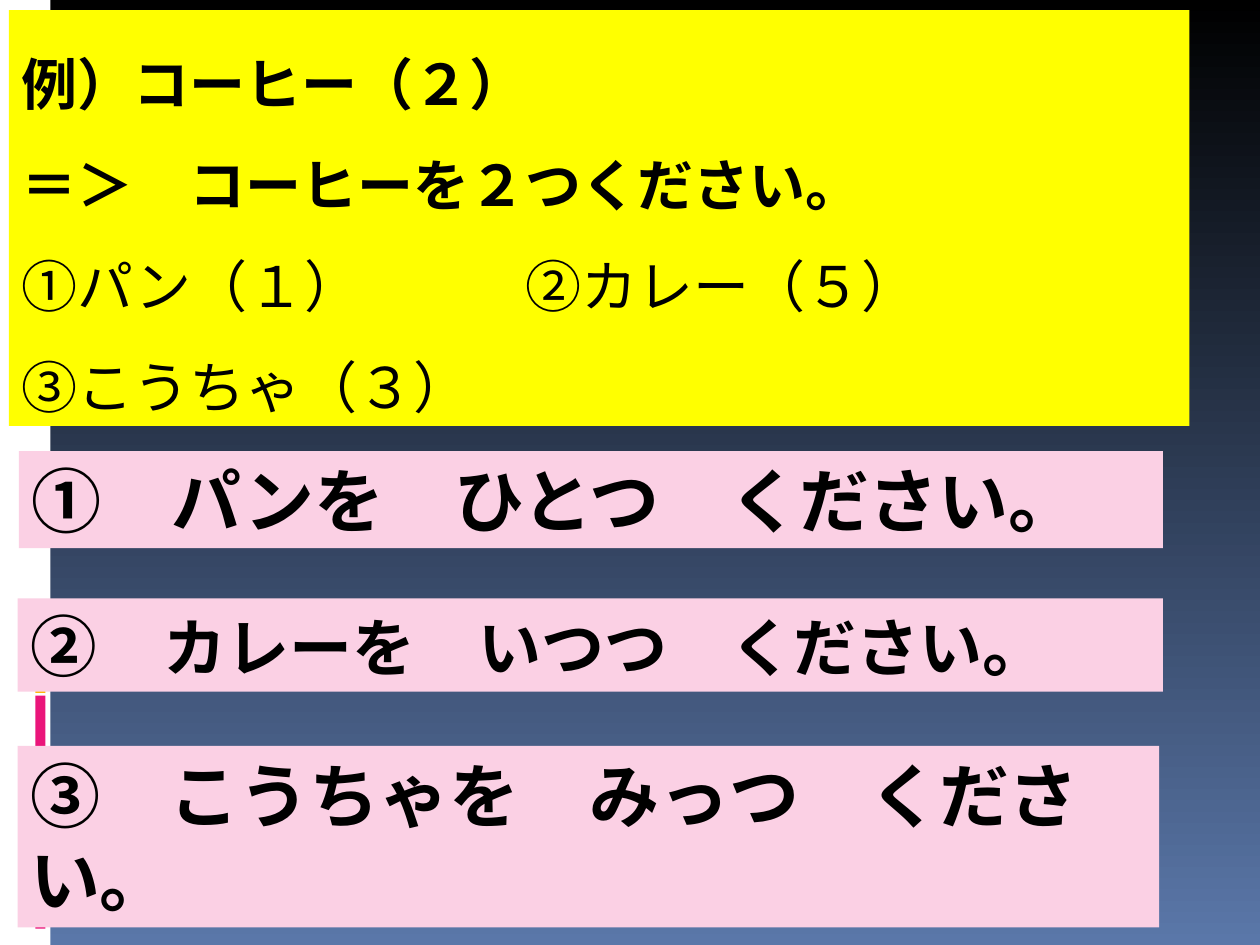
from lxml import etree
from pptx import Presentation
from pptx.dml.color import RGBColor
from pptx.enum import shapes, text
from pptx.oxml.ns import qn
from pptx.util import Inches, Pt

COLORS = {
    "night": "000000", "dusk": "5A77A9", "white": "FFFFFF", "magenta": "EA157A",
    "amber": "FEB80A", "pink": "FBD0E4", "yellow": "FFFF00", "ink": "000000",
}
JAPANESE, LATIN = "Noto Sans CJK JP", "Roboto"

STRIPES = [
    ((0, 0, 0.4, 7.5), "white"),
    ((0.28, 5.52, 0.08, 1.85), "magenta"),
    ((0.28, 5.25, 0.08, 0.25), "amber"),
]
ANSWERS = [
    ((0.15, 3.58, 9.08, 0.77), [("①　パンを　ひとつ　ください。", 40)]),
    ((0.14, 4.75, 9.09, 0.74), [("②　", 38), ("カレーを　いつつ　ください", 36), ("。", 38)]),
    ((0.14, 5.92, 9.06, 1.44), [("③　こうちゃを　みっつ　ください。", 40)]),
]
EXERCISE_BOX = (0.07, 0.08, 9.37, 3.3)
EXERCISE = [
    ("例）コーヒー（２）", True),
    ("＝＞　コーヒーを２つください。", True),
    ("①パン（１）\t②カレー（５）", False),
    ("③こうちゃ（３）", False),
]
EXERCISE_SIZE = 32
SECOND_ITEM_TAB = 4


def rgb(name):
    return RGBColor.from_string(COLORS[name])


def add_panel(slide, box, color):
    panel = slide.shapes.add_shape(
        shapes.MSO_SHAPE.RECTANGLE, *(Inches(side) for side in box))
    panel.shadow.inherit = False
    panel.fill.solid()
    panel.fill.fore_color.rgb = rgb(color)
    panel.line.fill.background()
    frame = panel.text_frame
    frame.word_wrap = True
    frame.vertical_anchor = text.MSO_ANCHOR.TOP
    return frame


def add_words(paragraph, words, size, bold=True):
    paragraph.alignment = text.PP_ALIGN.LEFT
    run = paragraph.add_run()
    run.text = words
    font = run.font
    font.size = Pt(size)
    font.bold = bold
    font.color.rgb = rgb("ink")
    font.name = JAPANESE if bold else LATIN
    east_asian = etree.SubElement(run._r.get_or_add_rPr(), qn("a:ea"))
    east_asian.set("typeface", JAPANESE)


def add_tab(paragraph, position):
    tabs = etree.SubElement(paragraph._p.get_or_add_pPr(), qn("a:tabLst"))
    etree.SubElement(tabs, qn("a:tab"), pos=str(Inches(position)), algn="l")


def paint_background(slide):
    fill = slide.background.fill
    fill.gradient()
    fill.gradient_angle = 270
    for stop, color in zip(fill.gradient_stops, ("night", "dusk")):
        stop.color.rgb = rgb(color)


def main():
    deck = Presentation()
    deck.slide_width, deck.slide_height = Inches(10), Inches(7.5)
    slide = deck.slides.add_slide(deck.slide_layouts[6])
    paint_background(slide)

    for box, color in STRIPES:
        add_panel(slide, box, color)

    for box, phrases in ANSWERS:
        answer = add_panel(slide, box, "pink").paragraphs[0]
        for words, size in phrases:
            add_words(answer, words, size)

    exercise = add_panel(slide, EXERCISE_BOX, "yellow")
    for index, (words, bold) in enumerate(EXERCISE):
        line = exercise.add_paragraph() if index else exercise.paragraphs[0]
        line.line_spacing = 1.5
        add_words(line, words, EXERCISE_SIZE, bold)
        if "\t" in words:
            add_tab(line, SECOND_ITEM_TAB)

    deck.save("out.pptx")


if __name__ == "__main__":
    main()
